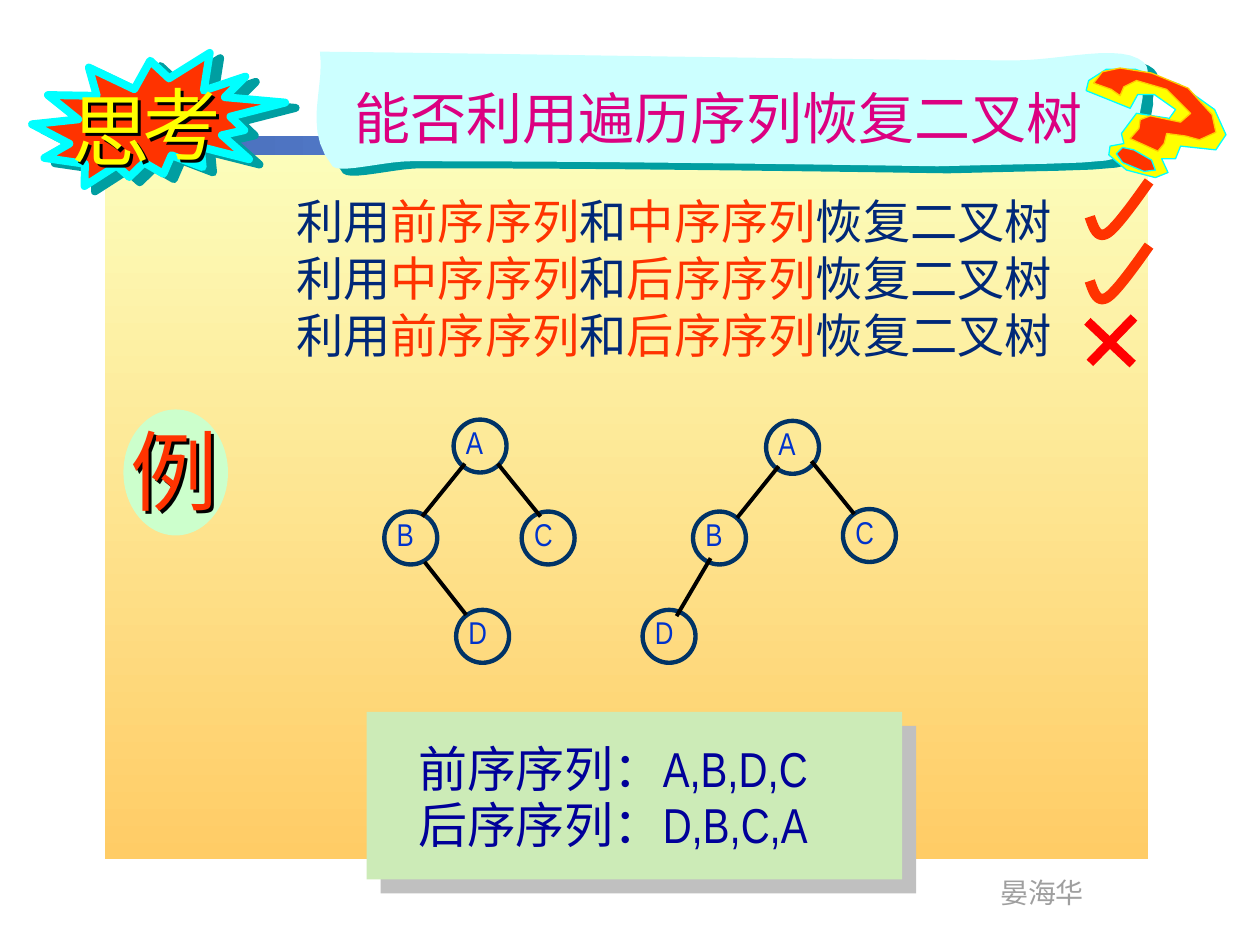
"""Build a slide asking whether traversal sequences can restore a binary tree."""
import itertools
import pptx
import pptx.dml.color
import pptx.enum.shapes
import pptx.enum.text
import pptx.oxml
import pptx.oxml.ns
import pptx.util
from pptx.util import Inches


class Theme:
    font = "Arial Narrow"
    pale, gold, blue, sky = "FCFEBC", "FFCC66", "496DB6", "6699FF"
    navy, red, pink, grey = "002878", "FF3300", "DC0081", "9F9F9F"
    ice, teal, cyan, lemon, amber = "CCFFFF", "009EA1", "00FFFF", "FFFF00", "FFCC00"
    ring, name, edge, cross = "003366", "0033CC", "000000", "FF0000"
    mint, leaf, ash, ink = "CCFFCC", "CCEBB7", "C0C0C0", "000099"
    title, body, node, order, mark, burst, foot = 32, 27, 18, 28, 50, 45, 16


deck = pptx.Presentation()
deck.slide_width, deck.slide_height = Inches(10), Inches(7.5)
slide = deck.slides.add_slide(deck.slide_layouts[1])
shapes = slide.shapes
title, body = shapes.title, slide.placeholders[1]
kinds = pptx.enum.shapes.MSO_SHAPE
qn = pptx.oxml.ns.qn
rgb = pptx.dml.color.RGBColor.from_string


def dress(shape, fill=None, line=None, width=1, shade=None):
    if fill:
        shape.fill.solid()
        shape.fill.fore_color.rgb = rgb(fill)
    else:
        shape.fill.background()
    if line:
        shape.line.color.rgb = rgb(line)
        shape.line.width = pptx.util.Pt(width)
    else:
        shape.line.fill.background()
    shape.shadow.inherit = False
    if shade:
        hue, gap, turn = shade
        shape.element.spPr.find(qn("a:effectLst")).append(pptx.oxml.parse_xml(
            f'<a:outerShdw {pptx.oxml.ns.nsdecls("a")} dist="{round(gap * 12700)}" '
            f'dir="{turn * 60000}" algn="ctr" rotWithShape="0">'
            f'<a:srgbClr val="{hue}"/></a:outerShdw>'))


def put(text, at, size, hues, shape=None, pitch=None, middle=False, shade=None):
    at = [Inches(n) for n in at]
    if shape is None:
        shape = shapes.add_textbox(*at)
    else:
        shapes.element.append(shape.element)
        shape.left, shape.top, shape.width, shape.height = at
    if shade:
        dress(shape, shade=shade)
    frame = shape.text_frame
    frame.word_wrap = True
    frame.auto_size = pptx.enum.text.MSO_AUTO_SIZE.NONE
    frame.margin_right = 0
    anchor = pptx.enum.text.MSO_ANCHOR
    frame.vertical_anchor = anchor.MIDDLE if middle else anchor.TOP
    for i, row in enumerate(text.split("\n")):
        para = frame.add_paragraph() if i else frame.paragraphs[0]
        form = para._p.get_or_add_pPr()
        form.set("marL", "0")
        form.set("indent", "0")
        form.append(pptx.oxml.parse_xml(f'<a:buNone {pptx.oxml.ns.nsdecls("a")}/>'))
        para.alignment = pptx.enum.text.PP_ALIGN.LEFT
        para.space_before = pptx.util.Pt(0)
        if pitch:
            para.line_spacing = pptx.util.Pt(pitch)
        for part, hue in zip(row.split("|"), itertools.cycle(hues)):
            run = para.add_run()
            run.text = part
            run.font.name = Theme.font
            run.font.size = pptx.util.Pt(size)
            run.font.color.rgb = rgb(hue)


for at, turn, hues in (
    ((0.83, 1.1, 8.28, 5.72), 270, (Theme.pale, Theme.gold)),
    ((0.84, 1.08, 8.27, 0.15), 0, (Theme.blue, Theme.sky)),
):
    panel = shapes.add_shape(kinds.RECTANGLE, *map(Inches, at))
    dress(panel)
    panel.fill.gradient()
    panel.fill.gradient_angle = turn
    for stop, hue in zip(panel.fill.gradient_stops, hues):
        stop.color.rgb = rgb(hue)
put("晏海华", (7.84, 6.9, 0.87, 0.37), Theme.foot, [Theme.grey])

banner = [(2.54, 0.41), (2.58, 0.71), (2.4, 1.02), (2.64, 1.32), (2.7, 1.38),
          (3.05, 1.28), (3.26, 1.28), (4.65, 1.28), (6.05, 1.3), (7.44, 1.32),
          (9.29, 1.27), (8.94, 1.36), (9.07, 0.77), (9.04, 0.66), (9.23, 0.52),
          (8.97, 0.44), (8.75, 0.38), (8.36, 0.48), (8.05, 0.48), (6.22, 0.47),
          (4.38, 0.43), (2.54, 0.41)]
tick = [(8.65, 1.72), (8.68, 1.81), (8.71, 1.9), (8.79, 1.85),
        (8.87, 1.8), (9.07, 1.51), (9.12, 1.44)]
curves = []
for knots in (banner, tick, [(x, y + 0.51) for x, y in tick]):
    trace = [knots[0]]
    for i in range(0, len(knots) - 1, 3):
        for t in (step / 10 for step in range(1, 11)):
            mix = ((1 - t) ** 3, 3 * t * (1 - t) ** 2, 3 * t * t * (1 - t), t ** 3)
            trace.append([sum(m * k[axis] for m, k in zip(mix, knots[i:i + 4]))
                          for axis in (0, 1)])
    curves.append(trace)

rim = [(9.03, 0.75), (9.16, 0.75), (9.33, 0.87), (9.28, 0.94), (9.02, 0.9),
       (8.9, 1.06), (8.92, 1.14), (8.81, 1.16), (8.8, 1.23), (8.94, 1.35),
       (9.17, 1.41), (9.27, 1.37), (9.22, 1.26), (9.33, 1.26), (9.37, 1.16),
       (9.65, 1.19), (9.73, 1.07), (9.64, 0.87), (9.36, 0.67), (9.01, 0.55),
       (8.78, 0.55), (8.64, 0.64), (8.62, 0.72), (8.97, 0.86)]
hook = [(8.68, 0.66), (8.82, 0.71), (8.89, 0.76), (8.92, 0.69), (9.02, 0.64),
        (9.26, 0.71), (9.35, 0.8), (9.45, 0.9), (9.37, 0.97), (9.13, 0.92),
        (9.05, 0.95), (9.04, 1.02), (8.97, 1.1), (9.19, 1.2), (9.24, 1.14),
        (9.26, 1.06), (9.41, 1.08), (9.52, 1.11), (9.65, 1.05), (9.62, 0.91),
        (9.43, 0.7), (9.14, 0.58), (8.89, 0.54), (8.75, 0.57)]
dot = [(9, 1.19), (8.91, 1.17), (8.86, 1.22), (8.91, 1.29),
       (9.08, 1.36), (9.17, 1.35), (9.14, 1.27)]
for trace, look in (
    (curves[0], dict(fill=Theme.ice, shade=(Theme.teal, 7.2, 34))),
    (rim, dict(fill=Theme.lemon, line=Theme.cyan, width=0.75)),
    (hook, dict(fill=Theme.red, line=Theme.amber, width=0.75)),
    (dot, dict(fill=Theme.red, line=Theme.cyan, width=0.75)),
    (curves[1], dict(line=Theme.red, width=6)),
    (curves[2], dict(line=Theme.red, width=6)),
):
    spots = [(Inches(x), Inches(y)) for x, y in trace]
    pen = shapes.build_freeform(*spots[0])
    pen.add_line_segments(spots[1:], close="fill" in look)
    dress(pen.convert_to_shape(), **look)

put("能否利用遍历序列恢复二叉树", (2.71, 0.61, 6.08, 0.63), Theme.title,
    [Theme.pink], shape=title)
put("利用|前序序列|和|中序序列|恢复二叉树\n"
    "利用|中序序列|和|后序序列|恢复二叉树\n"
    "利用|前序序列|和|后序序列|恢复二叉树",
    (2.25, 1.47, 6.6, 1.46), Theme.body, [Theme.navy, Theme.red],
    shape=body, pitch=32.8, middle=True)

for letter, x, y in (
    ("A", 3.6, 3.33), ("B", 3.05, 4.06), ("C", 4.14, 4.06), ("D", 3.62, 4.84),
    ("A", 6.08, 3.34), ("B", 5.5, 4.06), ("C", 6.69, 4.04), ("D", 5.1, 4.84),
):
    ring = shapes.add_shape(kinds.OVAL, *map(Inches, (x, y, 0.42, 0.42)))
    dress(ring, line=Theme.ring, width=2.5)
    put(letter, (x, y - 0.02, 0.44, 0.5), Theme.node, [Theme.name])

edges = ((3.69, 3.68, 3.35, 4.1), (3.95, 3.68, 4.29, 4.1), (3.37, 4.46, 3.7, 4.88),
         (6.44, 3.66, 6.78, 4.08), (6.18, 3.7, 5.85, 4.11), (5.64, 4.43, 5.37, 4.89))
cross = ((8.63, 2.55, 8.99, 2.89), (8.65, 2.88, 9, 2.52))
for ends, hue, width in ((edges, Theme.edge, 2.25), (cross, Theme.cross, 5.25)):
    for end in ends:
        link = shapes.add_connector(pptx.enum.shapes.MSO_CONNECTOR.STRAIGHT,
                                    *map(Inches, end))
        link.line.color.rgb = rgb(hue)
        link.line.width = pptx.util.Pt(width)
        link.element.spPr.append(pptx.oxml.parse_xml(
            f'<a:effectLst {pptx.oxml.ns.nsdecls("a")}/>'))

glow = (Theme.edge, 2.4, 45)
oval = shapes.add_shape(kinds.OVAL, *map(Inches, (0.98, 3.25, 0.83, 1)))
dress(oval, fill=Theme.mint)
put("例", (0.94, 3.26, 0.9, 0.93), Theme.mark, [Theme.red], shade=glow)

card = shapes.add_shape(kinds.RECTANGLE, *map(Inches, (2.91, 5.65, 4.25, 1.33)))
dress(card, fill=Theme.leaf, shade=(Theme.ash, 11.3, 45))
for text, y in (("前序序列：A,B,D,C", 5.81), ("后序序列：D,B,C,A", 6.26)):
    put(text, (3.22, y, 4.29, 0.57), Theme.order, [Theme.ink])

burst = shapes.add_shape(kinds.EXPLOSION2, *map(Inches, (0.26, 0.39, 1.99, 1.13)))
burst.rotation = 4.4
dress(burst, fill=Theme.red, line=Theme.cyan, width=4.5, shade=(Theme.teal, 6.7, 27))
for text, x, y in (("思", 0.47, 0.6), ("考", 1.03, 0.55)):
    put(text, (x, y, 0.83, 0.85), Theme.burst, [Theme.lemon], shade=glow)

deck.save("out.pptx")
